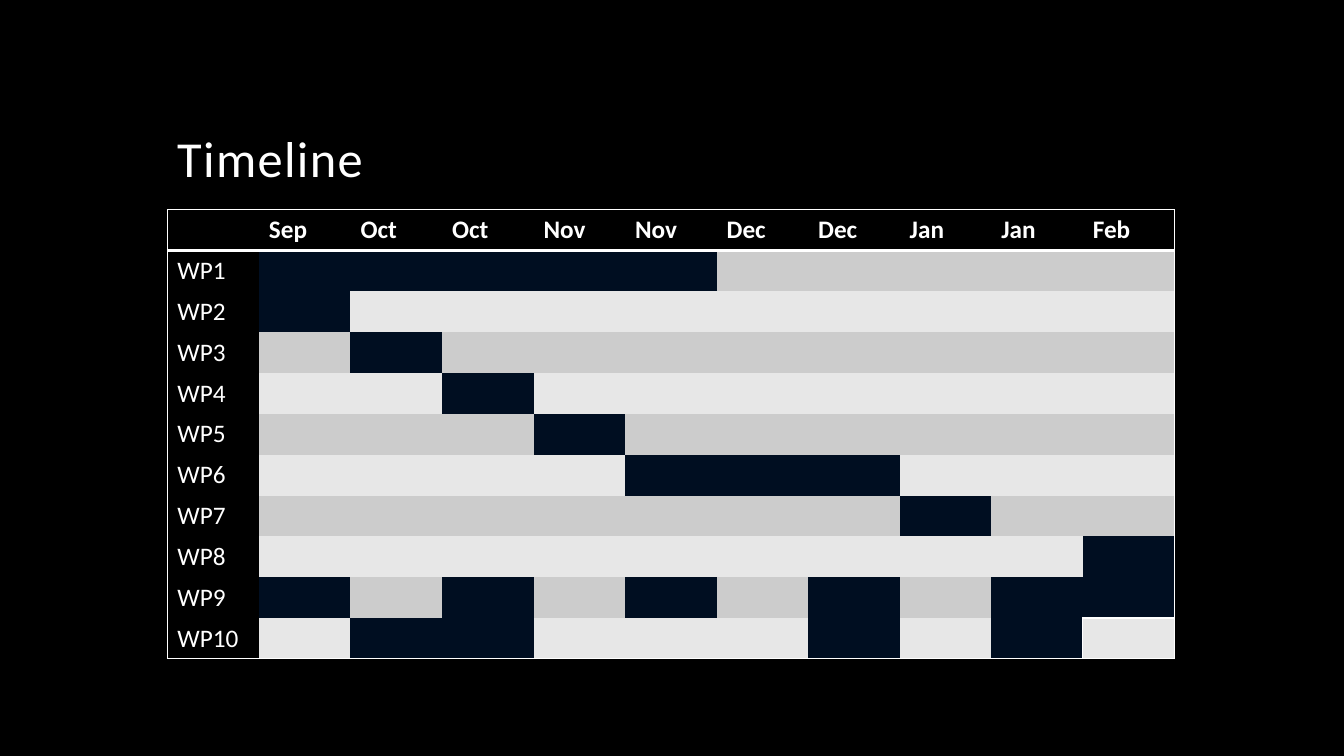
from lxml.etree import SubElement as Sub
from pptx import Presentation
from pptx.dml.color import RGBColor as RGB
from pptx.enum.text import MSO_ANCHOR as Anchor
from pptx.oxml.ns import qn
from pptx.util import Inches, Pt

COLORS = {"black": "000000", "white": "FFFFFF", "navy": "000E21",
          "gray": "CCCCCC", "pale": "E7E7E7"}
TITLE = {"name": "Calibri", "size": Pt(36), "bold": False}
HEAD = {"name": "Calibri", "size": Pt(18), "bold": True}
LABEL = {**HEAD, "bold": False}
MONTHS = ["Sep", "Oct", "Oct", "Nov", "Nov", "Dec", "Dec", "Jan", "Jan", "Feb"]
PLAN = [{1, 2, 3, 4, 5}, {1}, {2}, {3}, {4}, {5, 6, 7}, {8}, {10},
        {1, 3, 5, 7, 9, 10}, {2, 3, 7, 9}]
COUNT = len(PLAN)
LAST = len(MONTHS)


def write(para, text, style):
    run = para.add_run()
    run.text = text
    for key, value in style.items():
        setattr(run.font, key, value)
    run.font.color.rgb = RGB.from_string(COLORS["white"])
    return run


def border(cell, side, width):
    props = cell._tc.get_or_add_tcPr()
    line = Sub(props, qn(f"a:ln{side}"), w=str(Pt(width)))
    fill = Sub(line, qn("a:solidFill"))
    Sub(fill, qn("a:srgbClr"), val=COLORS["white"])


deck = Presentation()
deck.slide_width = Inches(13.33)
deck.slide_height = Inches(7.5)
slide = deck.slides.add_slide(deck.slide_layouts[6])
back = slide.background.fill
back.solid()
back.fore_color.rgb = RGB.from_string(COLORS["black"])

box = slide.shapes.add_textbox(Inches(1.66), Inches(0.42), Inches(10), Inches(1.5))
frame = box.text_frame
frame.word_wrap = True
frame.vertical_anchor = Anchor.BOTTOM
para = frame.paragraphs[0]
para.line_spacing = 0.9
title = write(para, "Timeline", TITLE)
title.font._element.set("spc", "100")

chart = slide.shapes.add_table(COUNT + 1, LAST + 1, Inches(1.66), Inches(2.08),
                               Inches(9.99), Inches(4.46))
table = chart.table
table.first_row = False
table.horz_banding = False
style = next(chart._element.iter(qn("a:tableStyleId")))
style.text = "{2D5ABB26-0587-4C30-8999-92F81FD0307C}"

for row in range(COUNT + 1):
    for col in range(LAST + 1):
        cell = table.cell(row, col)
        corner = (row, col) == (COUNT, LAST)
        edges = {
            "L": col == 0 or corner,
            "R": col == LAST or (row, col) == (COUNT, LAST - 1),
            "T": row == 0 or corner,
            "B": row in (0, COUNT) or (row, col) == (COUNT - 1, LAST),
        }
        for side, shown in edges.items():
            if shown:
                border(cell, side, 2 if row == 0 and side == "B" else 1)

        if row == 0 or col == 0:
            color = "black"
        elif col in PLAN[row - 1]:
            color = "navy"
        else:
            color = "gray" if row % 2 else "pale"
        cell.fill.solid()
        cell.fill.fore_color.rgb = RGB.from_string(COLORS[color])

        para = cell.text_frame.paragraphs[0]
        if row == 0 and col:
            write(para, MONTHS[col - 1], HEAD)
        elif row and col == 0:
            write(para, f"WP{row}", LABEL)

deck.save("out.pptx")
